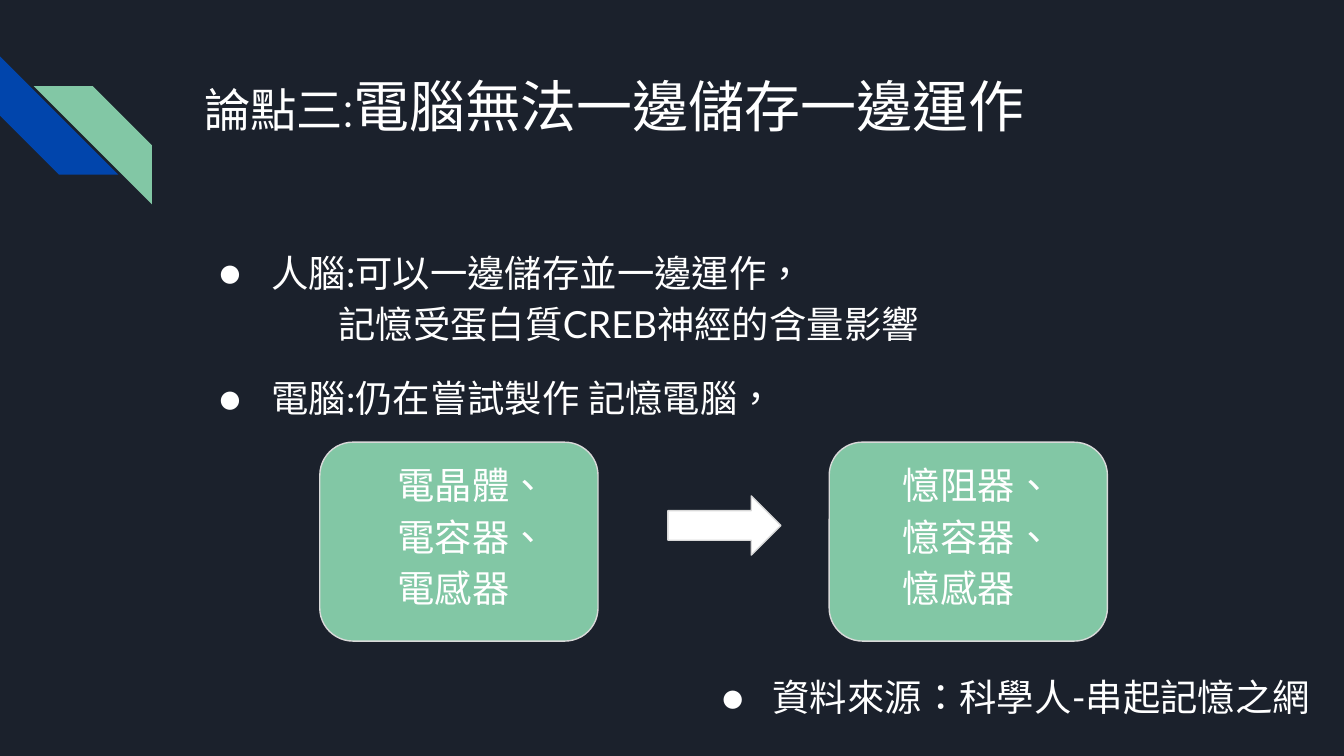
from pptx import Presentation
from pptx.dml.color import RGBColor
from pptx.enum.lang import MSO_LANGUAGE_ID
from pptx.enum.shapes import MSO_SHAPE
from pptx.enum.text import MSO_ANCHOR, PP_ALIGN
from pptx.oxml.ns import qn
from pptx.util import Inches, Pt
from lxml import etree

STRIPE = MSO_SHAPE.DIAGONAL_STRIPE
ROUND = MSO_SHAPE.ROUNDED_RECTANGLE
ARROW = MSO_SHAPE.RIGHT_ARROW
TOP = MSO_ANCHOR.TOP
LEFT = PP_ALIGN.LEFT
CHINESE = MSO_LANGUAGE_ID.TRADITIONAL_CHINESE

NAVY, BLUE, GREEN = "1B212C", "0145AC", "82C7A5"
WHITE, GREY = "FFFFFF", "D9D9D9"


def paint(target, color):
    """Give a fill a solid colour."""
    target.solid()
    target.fore_color.rgb = RGBColor.from_string(color)


def add_form(slide, kind, box, color, edge=None, turn=0):
    """Add a filled preset shape, outlined if an edge colour is given."""
    form = slide.shapes.add_shape(kind, *map(Inches, box))
    form.shadow.inherit = False
    form.rotation = turn
    paint(form.fill, color)
    if edge:
        paint(form.line.fill, edge)
        form.line.width = Pt(0.75)
    else:
        form.line.fill.background()


def add_box(slide, box, pad=0.1):
    """Add an empty wrapping text box and return its frame."""
    frame = slide.shapes.add_textbox(*map(Inches, box)).text_frame
    frame.word_wrap = True
    frame.vertical_anchor = TOP
    frame.margin_left = frame.margin_right = Inches(0.1)
    frame.margin_top = frame.margin_bottom = Inches(pad)
    return frame


def style(para, face, size=None):
    """Set the font that all runs of a paragraph share."""
    para.alignment = LEFT
    para.font.name = face
    para.font.color.rgb = RGBColor.from_string(WHITE)
    if size:
        para.font.size = Pt(size)


def add_run(para, text):
    """Add a run marked as traditional Chinese."""
    run = para.add_run()
    run.text = text
    run.font.language_id = CHINESE
    return run


def add_line(frame, text, left, first=0, dot=False, before=0, space=1.15):
    """Write one body paragraph, with a bullet if dot is set."""
    para = frame.paragraphs[0]
    if para.runs:
        para = frame.add_paragraph()
    para.line_spacing = space
    if before:
        para.space_before = Pt(before)
    props = para._p.get_or_add_pPr()
    props.set("marL", str(Inches(left)))
    props.set("indent", str(Inches(first)))
    if dot:
        tint = etree.SubElement(props, qn("a:buClr"))
        etree.SubElement(tint, qn("a:srgbClr")).set("val", WHITE)
        etree.SubElement(props, qn("a:buFont")).set("typeface", "Lato")
        etree.SubElement(props, qn("a:buChar")).set("char", "●")
    else:
        etree.SubElement(props, qn("a:buNone"))
    add_run(para, text)
    style(para, "Lato", 20)


def add_title(slide, parts):
    """Write the title from pairs of text and size."""
    para = add_box(slide, (1.42, 0.43, 7.7, 1)).paragraphs[0]
    style(para, "Montserrat")
    for text, size in parts:
        add_run(para, text).font.size = Pt(size)


def add_card(slide, left, inset, text):
    """Add a rounded card whose text box starts left of it by inset."""
    add_form(slide, ROUND, (left, 3.29, 2.07, 1.48), GREEN, GREY)
    add_line(add_box(slide, (left - inset, 3.29, 2.45, 1.31)), text, 1)


def main():
    deck = Presentation()
    deck.slide_width = Inches(10)
    deck.slide_height = Inches(10 * 9 / 16)
    slide = deck.slides.add_slide(deck.slide_layouts[6])
    paint(slide.background.fill, NAVY)

    # Corner stripes
    add_form(slide, STRIPE, (0, 0.42, 0.88, 0.88), BLUE, turn=270)
    add_form(slide, STRIPE, (0.25, 0.64, 0.88, 0.88), GREEN, turn=90)

    # Title
    add_title(slide, [("論點三", 24.8), (":", 25),
                      ("電腦無法一邊儲存一邊運作", 30)])

    # Brain and computer points
    body = add_box(slide, (1.42, 1.71, 7.7, 3.18))
    add_line(body, "人腦:可以一邊儲存並一邊運作，", 0.5, -0.39, dot=True)
    add_line(body, "記憶受蛋白質CREB神經的含量影響", 0.5, 0.5)
    add_line(body, "電腦:仍在嘗試製作 記憶電腦，", 0.5, -0.39, dot=True,
             before=12)

    # Old parts to new parts
    add_card(slide, 2.38, 0.52, "電晶體、電容器、電感器")
    add_form(slide, ARROW, (4.97, 3.69, 0.84, 0.44), WHITE, GREY)
    add_card(slide, 6.17, 0.55, "憶阻器、憶容器、憶感器")

    # Source
    note = add_box(slide, (5.27, 4.97, 4.72, 0.77), pad=0.05)
    add_line(note, "資料來源：科學人-串起記憶之網", 0.38, -0.38, dot=True,
             space=1.0)

    deck.save("out.pptx")


if __name__ == "__main__":
    main()
